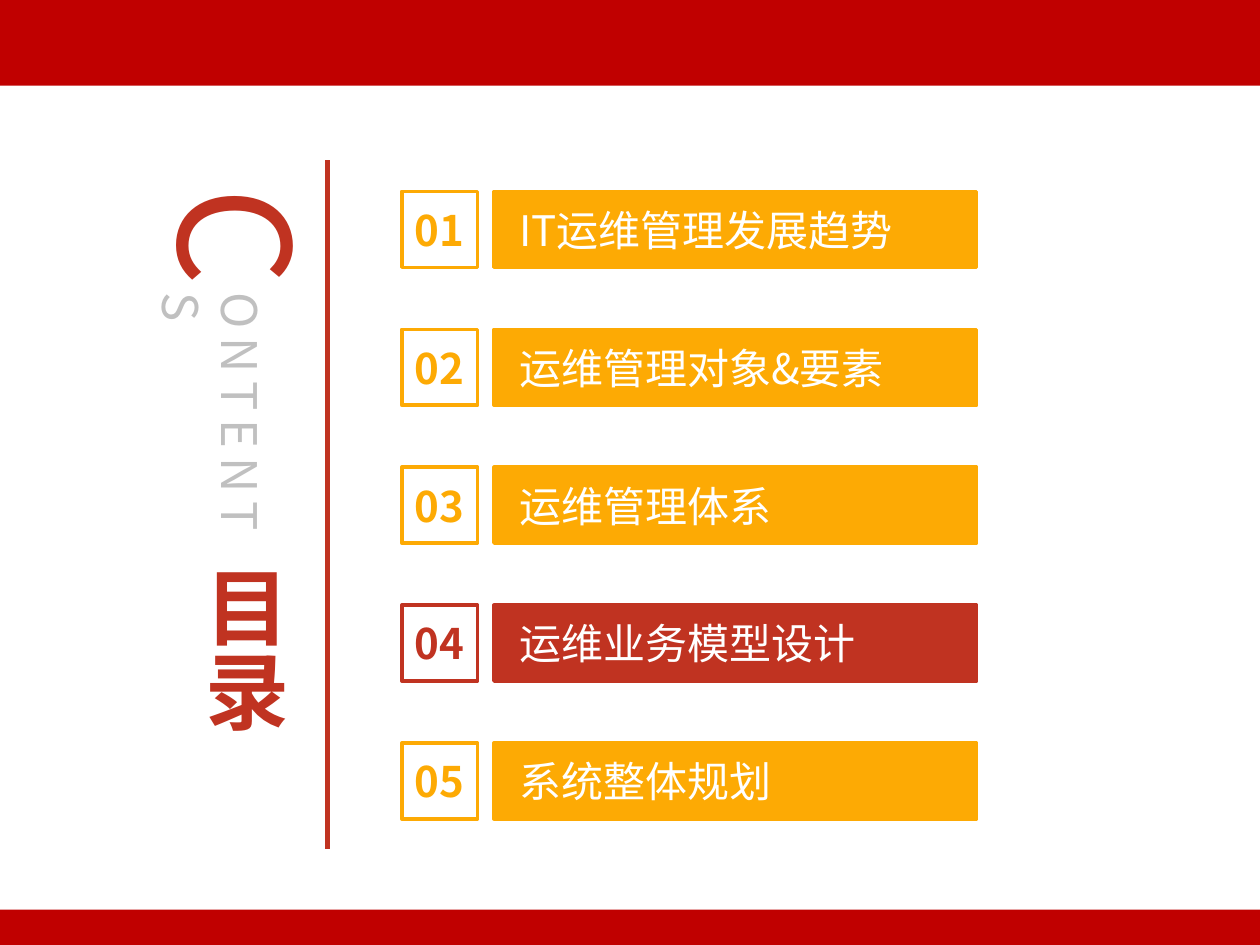
from pptx import Presentation
from pptx.dml.color import RGBColor
from pptx.enum.shapes import MSO_CONNECTOR, MSO_SHAPE
from pptx.enum.text import MSO_ANCHOR, MSO_AUTO_SIZE, PP_ALIGN
from pptx.oxml.ns import qn
from pptx.util import Cm, Pt
from lxml import etree

RECTANGLE = MSO_SHAPE.RECTANGLE
STRAIGHT = MSO_CONNECTOR.STRAIGHT
MIDDLE, TOP = MSO_ANCHOR.MIDDLE, MSO_ANCHOR.TOP
LEFT, CENTER = PP_ALIGN.LEFT, PP_ALIGN.CENTER
NO_AUTOFIT = MSO_AUTO_SIZE.NONE

CRIMSON = RGBColor(0xC0, 0x00, 0x00)
BRICK = RGBColor(0xC0, 0x33, 0x21)
AMBER = RGBColor(0xFD, 0xAA, 0x04)
SILVER = RGBColor(0xC0, 0xC0, 0xC0)
WHITE = RGBColor(0xFF, 0xFF, 0xFF)
FONT = "Noto Sans CJK SC"

TITLE = ["目", "录"]
INITIAL, REMAINDER = "C", "ONTENTS"
CHAPTERS = [
    "IT运维管理发展趋势",
    "运维管理对象&要素",
    "运维管理体系",
    "运维业务模型设计",
    "系统整体规划",
]
CURRENT_CHAPTER = 4

SLIDE_WIDTH, SLIDE_HEIGHT = 25.4, 19.05
HEADER_HEIGHT, FOOTER_HEIGHT = 1.73, 0.71
NUMBER_LEFT, BAR_LEFT = 8.1, 9.96
FIRST_TOP, PITCH = 3.86, 2.78
ROW_HEIGHT, BAR_WIDTH = 1.53, 9.73
BAR_INSETS = (0.51, 0.13, 0.25, 0.13)
TEXT_INSETS = (0.25, 0.13, 0.25, 0.13)
NO_INSETS = (0, 0, 0, 0)


def write(frame, lines, size, color, bold=False, align=LEFT, anchor=MIDDLE, insets=TEXT_INSETS):
    """Fill a text frame with evenly formatted paragraphs."""
    frame.text = "\n".join(lines)
    frame.word_wrap = True
    frame.auto_size = NO_AUTOFIT
    frame.vertical_anchor = anchor
    frame.margin_left, frame.margin_top, frame.margin_right, frame.margin_bottom = map(Cm, insets)
    for paragraph in frame.paragraphs:
        paragraph.alignment = align
        font = paragraph.font
        font.name, font.size, font.bold = FONT, Pt(size), bold
        font.color.rgb = color
        for run in paragraph.runs:
            east_asian = etree.SubElement(run._r.get_or_add_rPr(), qn("a:ea"))
            east_asian.set("typeface", FONT)


def add_box(slide, left, top, width, height, fill=None, outline=None):
    """Add a flat rectangle."""
    box = slide.shapes.add_shape(RECTANGLE, Cm(left), Cm(top), Cm(width), Cm(height))
    box.shadow.inherit = False
    if fill is None:
        box.fill.background()
    else:
        box.fill.solid()
        box.fill.fore_color.rgb = fill
    if outline is None:
        box.line.fill.background()
    else:
        box.line.color.rgb = outline
        box.line.width = Pt(2)
    return box


def add_vertical_text(slide, left, top, width, height, text, size, color, anchor):
    """Add a text box whose text runs downwards."""
    label = slide.shapes.add_textbox(Cm(left), Cm(top), Cm(width), Cm(height))
    write(label.text_frame, [text], size, color, anchor=anchor)
    label.text_frame._txBody.bodyPr.set("vert", "eaVert")
    return label


def add_chapter(slide, number, name):
    """Add the number box and name bar of one chapter."""
    color = BRICK if number == CURRENT_CHAPTER else AMBER
    top = FIRST_TOP + (number - 1) * PITCH
    number_box = add_box(slide, NUMBER_LEFT, top, ROW_HEIGHT, ROW_HEIGHT, outline=color)
    write(number_box.text_frame, [f"{number:02d}"], 24, color, True, CENTER, insets=NO_INSETS)
    name_bar = add_box(slide, BAR_LEFT, top, BAR_WIDTH, ROW_HEIGHT, color, color)
    write(name_bar.text_frame, [name], 24, WHITE, insets=BAR_INSETS)


def main():
    """Build the contents slide."""
    presentation = Presentation()
    presentation.slide_width, presentation.slide_height = Cm(SLIDE_WIDTH), Cm(SLIDE_HEIGHT)
    slide = presentation.slides.add_slide(presentation.slide_layouts[5])

    add_box(slide, 0, 0, SLIDE_WIDTH, HEADER_HEIGHT, CRIMSON)
    add_box(slide, 0, SLIDE_HEIGHT - FOOTER_HEIGHT, SLIDE_WIDTH, FOOTER_HEIGHT, CRIMSON)

    for number, name in enumerate(CHAPTERS, 1):
        add_chapter(slide, number, name)

    divider = slide.shapes.add_connector(STRAIGHT, Cm(6.6), Cm(3.23), Cm(6.6), Cm(17.12))
    divider.line.color.rgb = BRICK
    divider.line.width = Pt(3.25)
    etree.SubElement(divider._element.spPr, qn("a:effectLst"))

    add_vertical_text(slide, 3.38, 3.66, 2.92, 3.3, INITIAL, 88, BRICK, MIDDLE)
    remainder = add_vertical_text(slide, 4.01, 5.77, 1.7, 5.74, REMAINDER, 28, SILVER, TOP)
    remainder.text_frame.paragraphs[0].runs[0]._r.get_or_add_rPr().set("spc", "500")

    title = slide.shapes.title
    title.left, title.top, title.width, title.height = Cm(3.89), Cm(11.15), Cm(1.93), Cm(4.17)
    write(title.text_frame, TITLE, 48, BRICK, True, CENTER)
    for paragraph in title.text_frame.paragraphs:
        paragraph.line_spacing = 0.83

    presentation.save("out.pptx")


if __name__ == "__main__":
    main()
